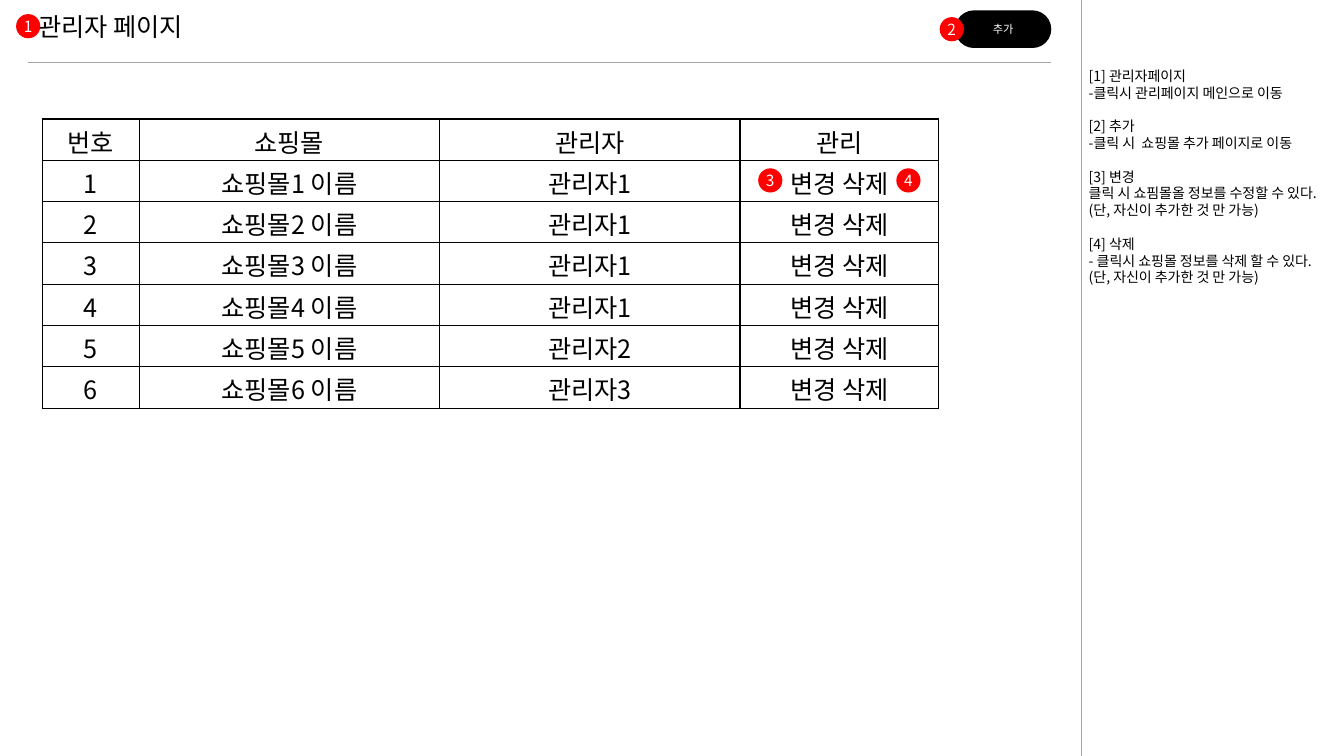
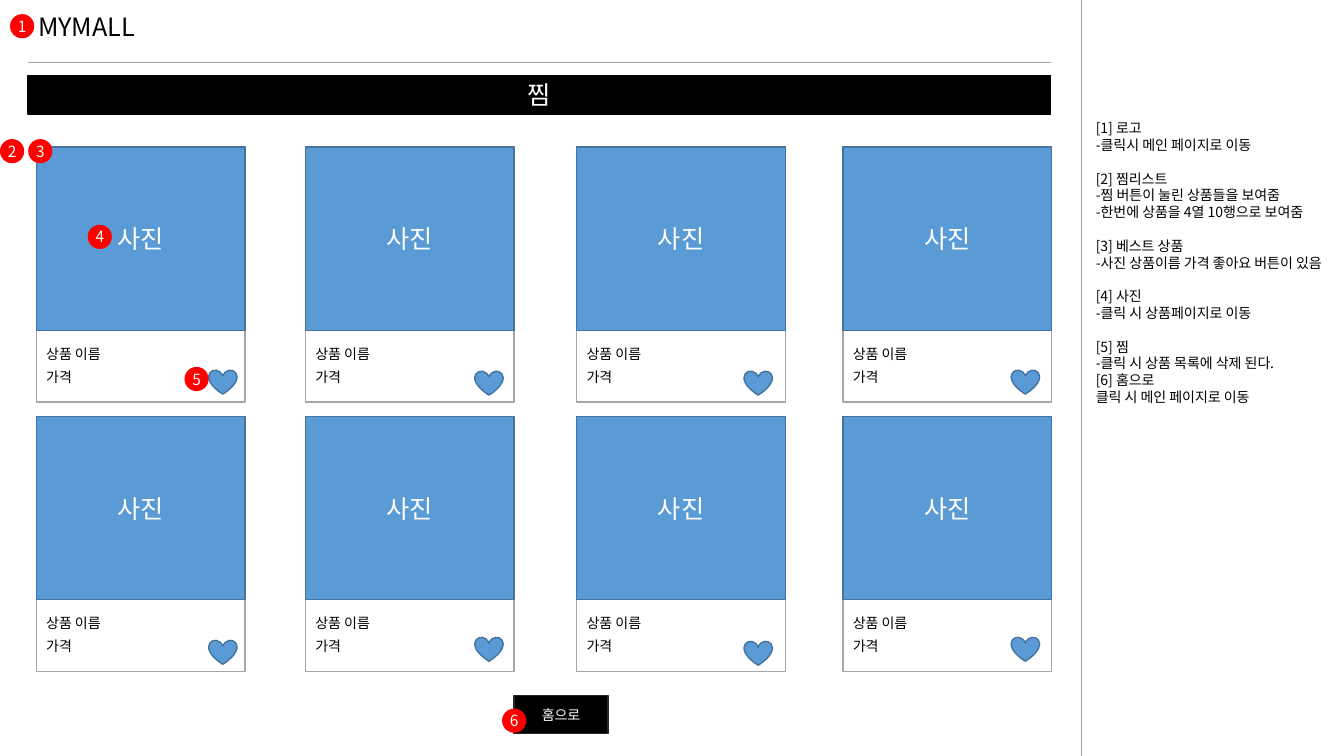
from lxml import etree
from pptx import Presentation
from pptx.dml.color import RGBColor
from pptx.enum.shapes import MSO_CONNECTOR, MSO_SHAPE
from pptx.enum.text import MSO_ANCHOR, PP_ALIGN
from pptx.oxml.ns import qn
from pptx.util import Inches, Pt

RECT, ROUND = MSO_SHAPE.RECTANGLE, MSO_SHAPE.ROUNDED_RECTANGLE
OVAL, HEART = MSO_SHAPE.OVAL, MSO_SHAPE.HEART
STRAIGHT = MSO_CONNECTOR.STRAIGHT
LEFT, CENTER = PP_ALIGN.LEFT, PP_ALIGN.CENTER
TOP, MIDDLE = MSO_ANCHOR.TOP, MSO_ANCHOR.MIDDLE

FONT = "Noto Sans CJK KR"
BLACK, WHITE, RED = "000000", "FFFFFF", "FF0000"
RULE, FRAME, HOME_EDGE = "A5A5A5", "A6A6A6", "262626"
BLUE, BLUE_EDGE = "5B9BD5", "43739E"
LINE_HEIGHT = 1.2
MARKER_SIZE = 0.24

ADMIN_TITLE = "관리자 페이지"
ADMIN_HEADER = ("번호", "쇼핑몰", "관리자", "관리")
MALL_MANAGERS = (1, 1, 1, 1, 2, 3)
COLUMN_WIDTHS = (0.96, 2.98, 2.98, 1.97)
ROW_HEIGHT = 0.41
ADMIN_MARKERS = ((0.16, 0.14), (9.32, 0.17), (7.52, 1.67), (8.89, 1.67))
ADMIN_NOTES = (
    ("[1] 관리자페이지", "-클릭시 관리페이지 메인으로 이동"),
    ("[2] 추가", "-클릭 시  쇼핑몰 추가 페이지로 이동"),
    ("[3] 변경", "클릭 시 쇼핌몰올 정보를 수정할 수 있다. (단, 자신이 추가한 것 만 가능)"),
    ("[4] 삭제", "- 클릭시 쇼핑몰 정보를 삭제 할 수 있다. (단, 자신이 추가한 것 만 가능)"),
)

MALL_TITLE = "MYMALL"
CARD_LEFTS = (0.36, 3.03, 5.72, 8.36)
CARD_TOPS = (1.46, 4.13)
HEART_LEFTS = (2.07, 4.71, 7.38, 10.03)
HEART_TOPS = ((3.67, 3.68, 3.68, 3.67), (6.35, 6.32, 6.36, 6.32))
CARD_LABELS = (("상품 이름", 1.92), ("가격", 2.15))
MALL_MARKERS = ((0.1, 0.14), (0, 1.38), (0.28, 1.38),
                (0.87, 2.23), (1.83, 3.64), (4.98, 7.03))
MALL_NOTES = (
    ("[1] 로고", "-클릭시 메인 페이지로 이동"),
    ("[2] 찜리스트", "-찜 버튼이 눌린 상품들을 보여줌", "-한번에 상품을 4열 10행으로 보여줌"),
    ("[3] 베스트 상품", "-사진 상품이름 가격 좋아요 버튼이 있음"),
    ("[4] 사진", "-클릭 시 상품페이지로 이동"),
    ("[5] 찜", "-클릭 시 상품 목록에 삭제 된다.", "[6] 홈으로", "클릭 시 메인 페이지로 이동"),
)


def color(value):
    """Turn a hex string into a colour."""
    return RGBColor.from_string(value)


def write(frame, text, size=10, ink=BLACK, align=LEFT, space_before=0, first=True):
    """Write one formatted paragraph into a text frame."""
    paragraph = frame.paragraphs[0] if first else frame.add_paragraph()
    paragraph.alignment = align
    paragraph.line_spacing = Pt(size * LINE_HEIGHT)
    paragraph.space_before = Pt(space_before)
    run = paragraph.add_run()
    run.text = text
    run.font.size = Pt(size)
    run.font.name = FONT
    run.font.color.rgb = color(ink)
    east_asian = etree.SubElement(run.font._element, qn("a:ea"))
    east_asian.set("typeface", FONT)


def add_label(slide, text, left, top, width, height, **style):
    """Add a text box and return its frame."""
    frame = slide.shapes.add_textbox(
        Inches(left), Inches(top), Inches(width), Inches(height)).text_frame
    frame.word_wrap = True
    frame.vertical_anchor = TOP
    write(frame, text, **style)
    return frame


def add_block(slide, kind, left, top, width, height, fill=None, edge=None, text="", size=10):
    """Add a flat shape with optional centred white text."""
    block = slide.shapes.add_shape(
        kind, Inches(left), Inches(top), Inches(width), Inches(height))
    block.shadow.inherit = False
    if fill:
        block.fill.solid()
        block.fill.fore_color.rgb = color(fill)
    else:
        block.fill.background()
    if edge:
        block.line.color.rgb = color(edge)
        block.line.width = Pt(1)
    else:
        block.line.fill.background()
    if text:
        block.text_frame.vertical_anchor = MIDDLE
        write(block.text_frame, text, size=size, ink=WHITE, align=CENTER)
    return block


def add_rule(slide, x1, y1, x2, y2):
    """Add a thin grey line."""
    rule = slide.shapes.add_connector(
        STRAIGHT, Inches(x1), Inches(y1), Inches(x2), Inches(y2))
    rule.line.color.rgb = color(RULE)
    rule.line.width = Pt(0.5)
    etree.SubElement(rule._element.spPr, qn("a:effectLst"))


def add_markers(slide, positions):
    """Add the numbered red circles."""
    for number, (left, top) in enumerate(positions, 1):
        marker = add_block(slide, OVAL, left, top, MARKER_SIZE, MARKER_SIZE,
                           fill=RED, text=str(number), size=11)
        frame = marker.text_frame
        frame.word_wrap = False
        frame.margin_left = frame.margin_right = 0
        frame.margin_top = frame.margin_bottom = 0


def add_notes_column(slide, sections, left, top, height):
    """Add the explanations, with a line of space between sections."""
    frame = add_label(slide, sections[0][0], left, top, 2.56, height)
    for index, section in enumerate(sections):
        for row, text in enumerate(section):
            if index or row:
                write(frame, text, first=False,
                      space_before=12 if index and row == 0 else 0)


def add_page(title):
    """Add a slide with the shared lines and title."""
    slide = deck.slides.add_slide(deck.slide_layouts[6])
    add_rule(slide, 10.73, 0, 10.73, 7.5)
    add_rule(slide, 0.28, 0.62, 10.42, 0.62)
    add_label(slide, title, 0.28, 0.06, 1.93, 0.4, size=18)
    return slide


def border_cell(cell):
    """Draw a black line on each side of a cell."""
    properties = cell._tc.get_or_add_tcPr()
    for position, side in enumerate(("a:lnL", "a:lnR", "a:lnT", "a:lnB")):
        line = etree.Element(qn(side), w=str(Pt(1)))
        fill = etree.SubElement(line, qn("a:solidFill"))
        etree.SubElement(fill, qn("a:srgbClr"), val=BLACK)
        properties.insert(position, line)


def add_mall_table(slide):
    """Add the table of malls and their managers."""
    rows = [ADMIN_HEADER] + [
        (str(number), f"쇼핑몰{number} 이름", f"관리자{manager}", "변경 삭제")
        for number, manager in enumerate(MALL_MANAGERS, 1)]
    table = slide.shapes.add_table(
        len(rows), len(COLUMN_WIDTHS), Inches(0.42), Inches(1.18),
        Inches(sum(COLUMN_WIDTHS)), Inches(ROW_HEIGHT * len(rows))).table
    table.first_row = table.horz_banding = False
    for column, width in zip(table.columns, COLUMN_WIDTHS):
        column.width = Inches(width)
    for table_row, texts in zip(table.rows, rows):
        table_row.height = Inches(ROW_HEIGHT)
        for cell, text in zip(table_row.cells, texts):
            cell.fill.background()
            cell.margin_top, cell.margin_bottom = Inches(0.1), 0
            write(cell.text_frame, text, size=18, align=CENTER)
            border_cell(cell)


def add_card(slide, left, top):
    """Add one product card."""
    add_block(slide, RECT, left, top, 2.07, 2.53, edge=FRAME)
    add_block(slide, RECT, left, top, 2.07, 1.82,
              fill=BLUE, edge=BLUE_EDGE, text="사진", size=18)
    for text, offset in CARD_LABELS:
        add_label(slide, text, left, top + offset, 1.5, 0.27)


deck = Presentation()
deck.slide_width, deck.slide_height = Inches(13.33), Inches(7.5)

admin = add_page(ADMIN_TITLE)
add_button = add_block(admin, ROUND, 9.48, 0.11, 0.94, 0.36,
                       fill=BLACK, edge=BLACK, text="추가", size=8)
add_button.adjustments[0] = 0.5
add_mall_table(admin)
add_notes_column(admin, ADMIN_NOTES, 10.7, 0.62, 2.46)
add_markers(admin, ADMIN_MARKERS)

wishlist = add_page(MALL_TITLE)
add_block(wishlist, RECT, 0.28, 0.75, 10.14, 0.38,
          fill=BLACK, edge=BLACK, text="찜", size=18)
for card_top, heart_tops in zip(CARD_TOPS, HEART_TOPS):
    for card_left, heart_left, heart_top in zip(CARD_LEFTS, HEART_LEFTS, heart_tops):
        add_card(wishlist, card_left, card_top)
        add_block(wishlist, HEART, heart_left, heart_top, 0.28, 0.24,
                  fill=BLUE, edge=BLUE_EDGE)
add_block(wishlist, RECT, 5.1, 6.9, 0.93, 0.38,
          fill=BLACK, edge=HOME_EDGE, text="홈으로")
add_notes_column(wishlist, MALL_NOTES, 10.77, 1.14, 3.13)
add_markers(wishlist, MALL_MARKERS)

deck.save("out.pptx")
